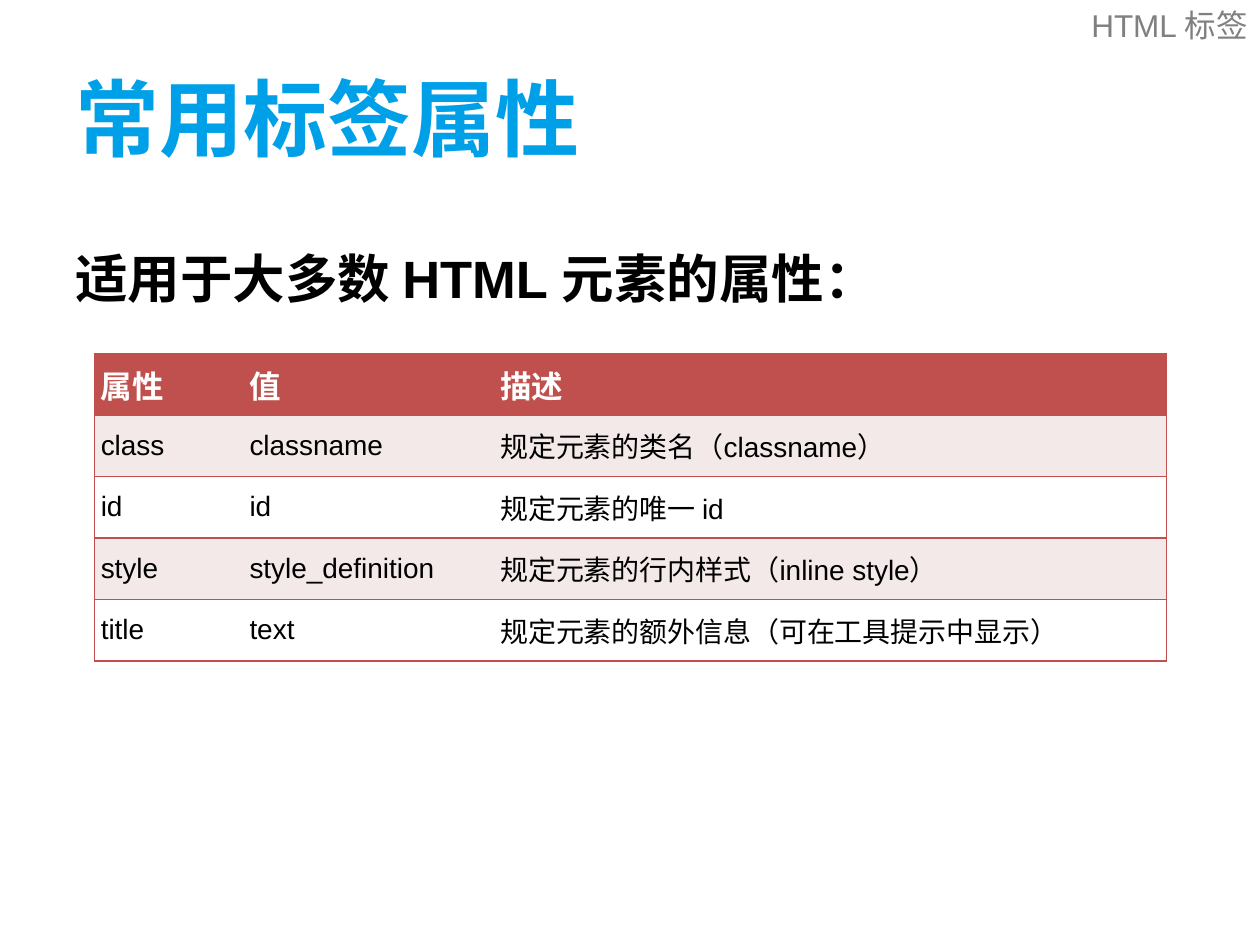
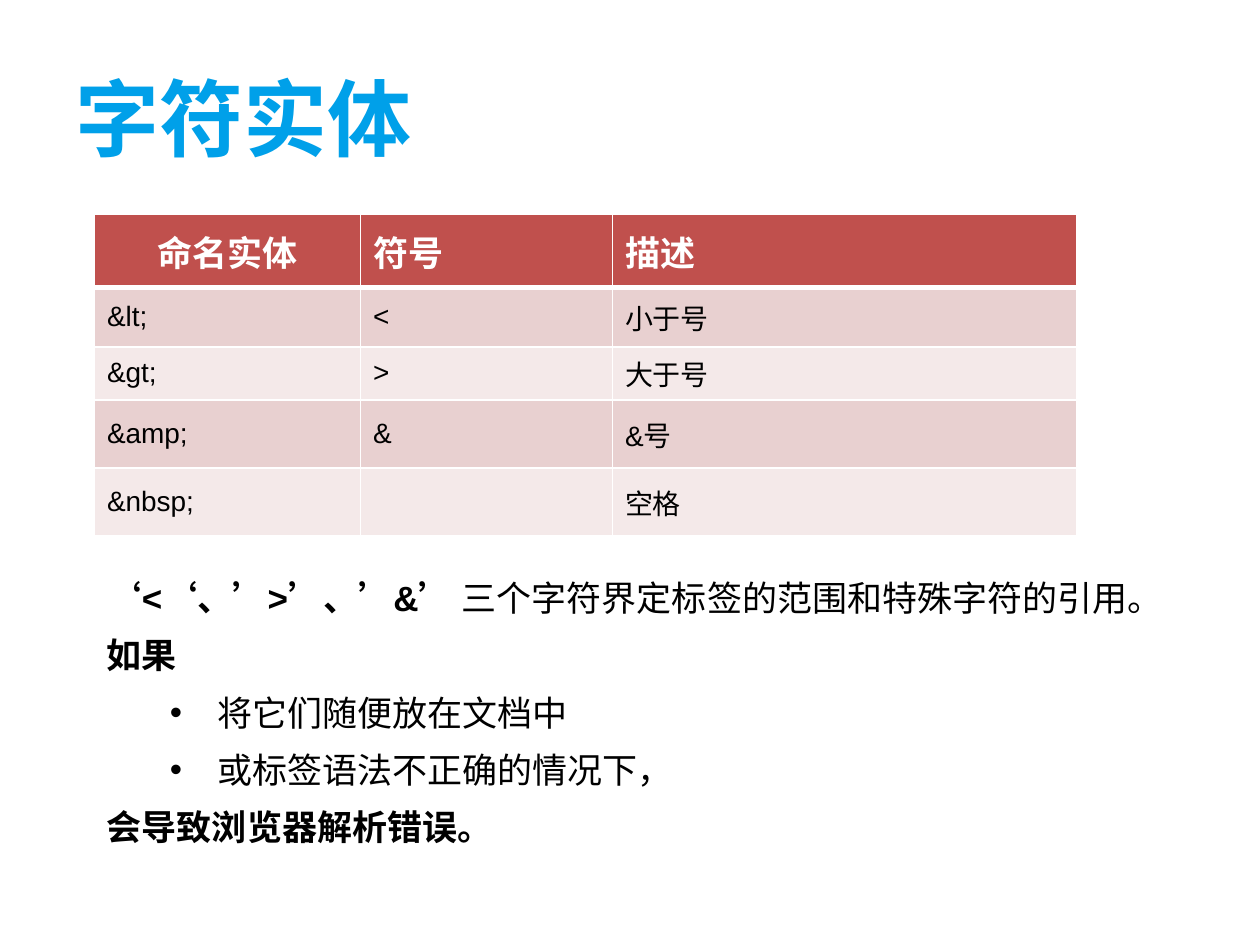
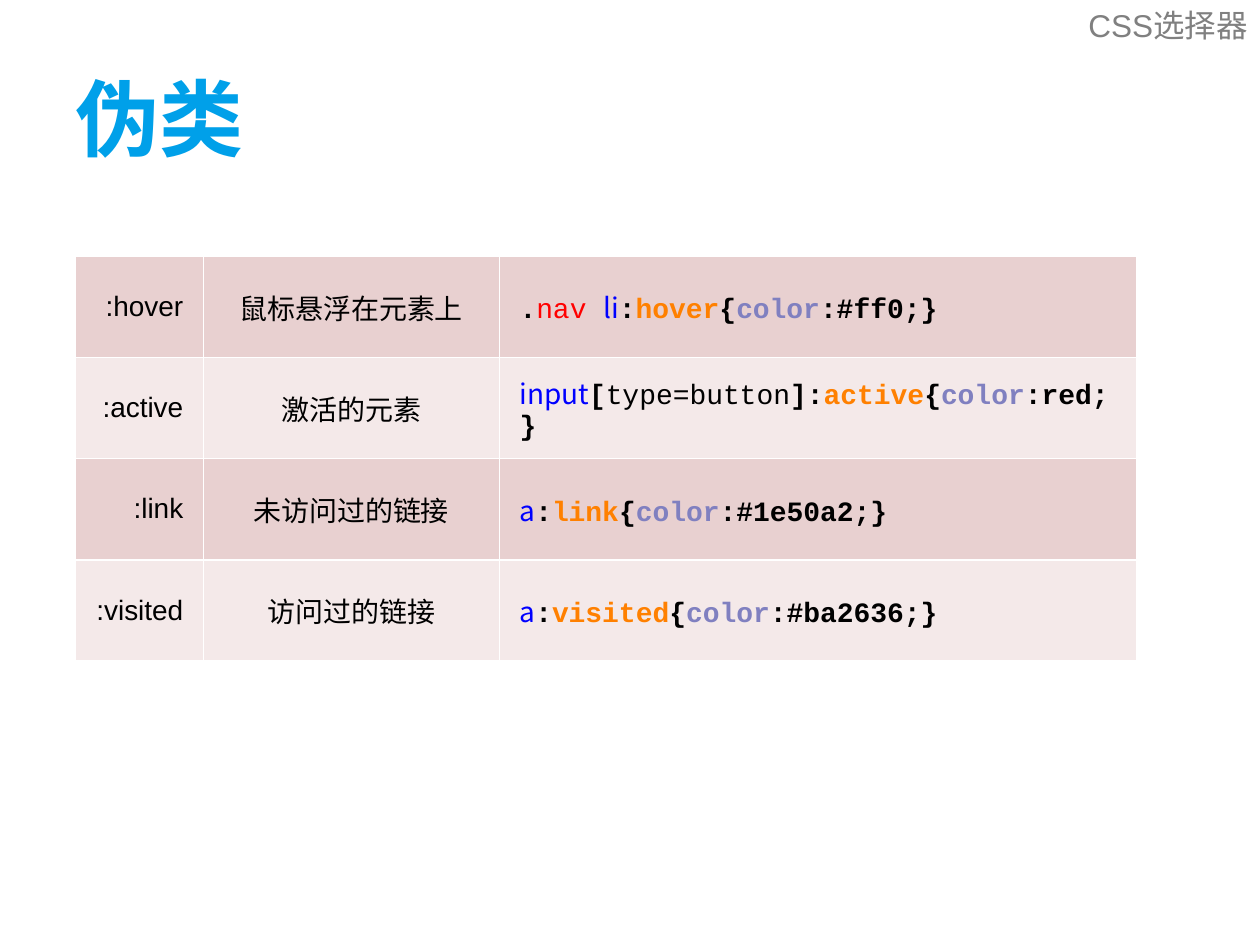
from lxml.etree import SubElement
from pptx import Presentation
from pptx.dml.color import RGBColor
from pptx.enum.text import MSO_ANCHOR as Anchor, MSO_AUTO_SIZE as AutoSize, PP_ALIGN as Align
from pptx.oxml.ns import qn
from pptx.util import Pt

COLORS = {
    "title": "00A0E9", "text": "000000", "tag": "808080", "white": "FFFFFF",
    "header": "C0504D", "band": "E8D0D0", "pale": "F4E9E9",
    "element": "0000FF", "class": "FF0000", "pseudo": "FF8000", "property": "8080C0",
}
FONT, CODE, ELEMENT = "Arial", "Courier New", "Noto Sans CJK KR"
TITLE_ONLY = 5
TITLE_BOX = (36, 21.6, 648, 90)
TAG_BOX = (564.5, 0, 155.5, 28.8)
CODE_STYLES = {
    "mark": dict(font=CODE, bold=True),
    "plain": dict(font=CODE),
    "class": dict(font=CODE, color="class"),
    "element": dict(font=ELEMENT, color="element"),
    "pseudo": dict(font=CODE, color="pseudo", bold=True),
    "property": dict(font=CODE, color="property", bold=True),
}


def format_run(run, size, color="text", bold=False, font=FONT):
    run.font.name = font
    run.font.size = Pt(size)
    run.font.bold = bold
    run.font.color.rgb = RGBColor.from_string(COLORS[color])


def write(paragraph, text, size, align=Align.LEFT, **style):
    paragraph.text = text
    paragraph.alignment = align
    for run in paragraph.runs:
        format_run(run, size, **style)


def add_runs(paragraph, runs, size):
    for text, style in runs:
        run = paragraph.add_run()
        run.text = text
        format_run(run, size, **style)


def space(paragraph, size, line_spacing, left=27, hanging=27, bullet=None):
    paragraph.line_spacing = line_spacing
    paragraph.space_before = Pt(size * 0.2)
    properties = paragraph._p.get_or_add_pPr()
    properties.set("marL", str(Pt(left)))
    properties.set("indent", str(-Pt(hanging)))
    if bullet:
        SubElement(properties, qn("a:buFont"), typeface=FONT)
        SubElement(properties, qn("a:buChar"), char=bullet)


def add_text_box(slide, box):
    shape = slide.shapes.add_textbox(*map(Pt, box))
    shape.text_frame.word_wrap = True
    return shape.text_frame


def add_titled_slide(presentation, title, tag=None):
    slide = presentation.slides.add_slide(presentation.slide_layouts[TITLE_ONLY])
    shape = slide.shapes.title
    shape.left, shape.top, shape.width, shape.height = map(Pt, TITLE_BOX)
    shape.text_frame.vertical_anchor = Anchor.MIDDLE
    write(shape.text_frame.paragraphs[0], title, 48, color="title", bold=True)
    if tag:
        frame = add_text_box(slide, TAG_BOX)
        frame.auto_size = AutoSize.SHAPE_TO_FIT_TEXT
        write(frame.paragraphs[0], tag, 18, Align.RIGHT, color="tag")
    return slide


def set_borders(cell, borders):
    properties = cell._tc.get_or_add_tcPr()
    for side in "LRTB":
        color, width = borders.get(side, (None, 1))
        line = SubElement(properties, qn("a:ln" + side), w=str(Pt(width)))
        if color:
            fill = SubElement(line, qn("a:solidFill"))
            SubElement(fill, qn("a:srgbClr"), val=COLORS[color])
        else:
            SubElement(line, qn("a:noFill"))


def add_grid(slide, left, top, widths, heights, margins, fills, borders_at):
    box = (left, top, sum(widths), sum(heights))
    frame = slide.shapes.add_table(len(heights), len(widths), *map(Pt, box))
    table = frame.table
    for column, width in zip(table.columns, widths):
        column.width = Pt(width)
    for row_index, height in enumerate(heights):
        table.rows[row_index].height = Pt(height)
        for column_index in range(len(widths)):
            cell = table.cell(row_index, column_index)
            cell.vertical_anchor = Anchor.MIDDLE
            (cell.margin_left, cell.margin_top,
             cell.margin_right, cell.margin_bottom) = map(Pt, margins)
            set_borders(cell, borders_at(row_index, column_index))
            cell.fill.solid()
            cell.fill.fore_color.rgb = RGBColor.from_string(COLORS[fills[row_index]])
    return table


def fill_headed_table(table, rows, header_size):
    for row_index, row in enumerate(rows):
        for column_index, text in enumerate(row):
            paragraph = table.cell(row_index, column_index).text_frame.paragraphs[0]
            if row_index == 0:
                write(paragraph, text, header_size, color="white", bold=True)
            else:
                write(paragraph, text, 16)


def build_attributes(presentation):
    slide = add_titled_slide(presentation, "常用标签属性", "HTML 标签")
    paragraph = add_text_box(slide, (36, 126, 648, 356.4)).paragraphs[0]
    write(paragraph, "适用于大多数 HTML 元素的属性：", 30, bold=True)
    space(paragraph, 30, 1.3)
    rows = [
        ("属性", "值", "描述"),
        ("class", "classname", "规定元素的类名（classname）"),
        ("id", "id", "规定元素的唯一 id"),
        ("style", "style_definition", "规定元素的行内样式（inline style）"),
        ("title", "text", "规定元素的额外信息（可在工具提示中显示）"),
    ]
    widths = (85, 143.3, 384.4)

    def borders_at(row, column):
        sides = "TB" + {0: "L", len(widths) - 1: "R"}.get(column, "")
        return {side: ("header", 1) for side in sides}

    table = add_grid(slide, 54, 202, widths, [35.15] * len(rows), (3.6, 3.6, 11.5, 3.6),
                     ["header"] + ["pale", "white"] * 2, borders_at)
    fill_headed_table(table, rows, 18)


def build_entities(presentation):
    slide = add_titled_slide(presentation, "字符实体")
    rows = [
        ("命名实体", "符号", "描述"),
        ("&lt;", "<", "小于号"),
        ("&gt;", ">", "大于号"),
        ("&amp;", "&", "&号"),
        ("&nbsp;", "", "空格"),
    ]

    def borders_at(row, column):
        borders = {side: ("white", 1) for side in "LRTB"}
        if row < 2:
            borders["B" if row == 0 else "T"] = ("white", 3)
        return borders

    table = add_grid(slide, 54, 122.6, (152, 144, 265.2), (41.8, 33.8, 29.5, 38.9, 38.9),
                     (7.2, 3.6, 7.2, 3.6), ["header"] + ["band", "pale"] * 2, borders_at)
    fill_headed_table(table, rows, 20)
    table.cell(0, 0).text_frame.paragraphs[0].alignment = Align.CENTER
    add_entity_notes(slide, (54, 321, 612, 170))


def add_entity_notes(slide, box):
    frame = add_text_box(slide, box)
    bold = dict(bold=True)
    notes = [
        (0, [("‘<‘、’>’、’&’ ", bold), ("三个字符界定标签的范围和特殊字符的引用。", {})]),
        (0, [("如果", bold)]),
        (1, [(" 将它们随便放在文档中", {})]),
        (1, [(" 或标签语法不正确的情况下，", {})]),
        (0, [("会导致浏览器解析错误。", bold)]),
    ]
    for index, (level, runs) in enumerate(notes):
        paragraph = frame.add_paragraph() if index else frame.paragraphs[0]
        paragraph.level = level
        add_runs(paragraph, runs, 20)
        if level:
            space(paragraph, 20, 1.2, 58.5, 22.5, "•")
        else:
            space(paragraph, 20, 1.2)


def build_pseudo_classes(presentation):
    slide = add_titled_slide(presentation, "伪类", "CSS选择器")
    link = [("a", "element"), (":", "mark")]
    rows = [
        ("hover", "鼠标悬浮在元素上", "#ff0",
         [(".", "mark"), ("nav ", "class"), ("li", "element"), (":", "mark")]),
        ("active", "激活的元素", "red",
         [("input", "element"), ("[", "mark"), ("type=button", "plain"), ("]:", "mark")]),
        ("link", "未访问过的链接", "#1e50a2", link),
        ("visited", "访问过的链接", "#ba2636", link),
    ]
    table = add_grid(slide, 42.8, 146.5, (73.4, 169.2, 364.4), [57.8] * len(rows),
                     (11.5, 5.8, 11.5, 5.8), ["band", "pale"] * 2,
                     lambda row, column: {side: ("white", 1) for side in "LRTB"})
    table.first_row = False
    for row_index, (name, meaning, value, selector) in enumerate(rows):
        label, description, code = (
            cell.text_frame.paragraphs[0] for cell in table.rows[row_index].cells)
        write(label, ":" + name, 16, Align.RIGHT)
        write(description, meaning, 16, Align.CENTER)
        rule = selector + [(name, "pseudo"), ("{", "mark"), ("color", "property"),
                           (f":{value};}}", "mark")]
        add_runs(code, [(text, CODE_STYLES[kind]) for text, kind in rule], 16)


presentation = Presentation()
presentation.slide_width, presentation.slide_height = Pt(720), Pt(540)
build_attributes(presentation)
build_entities(presentation)
build_pseudo_classes(presentation)
presentation.save("out.pptx")
